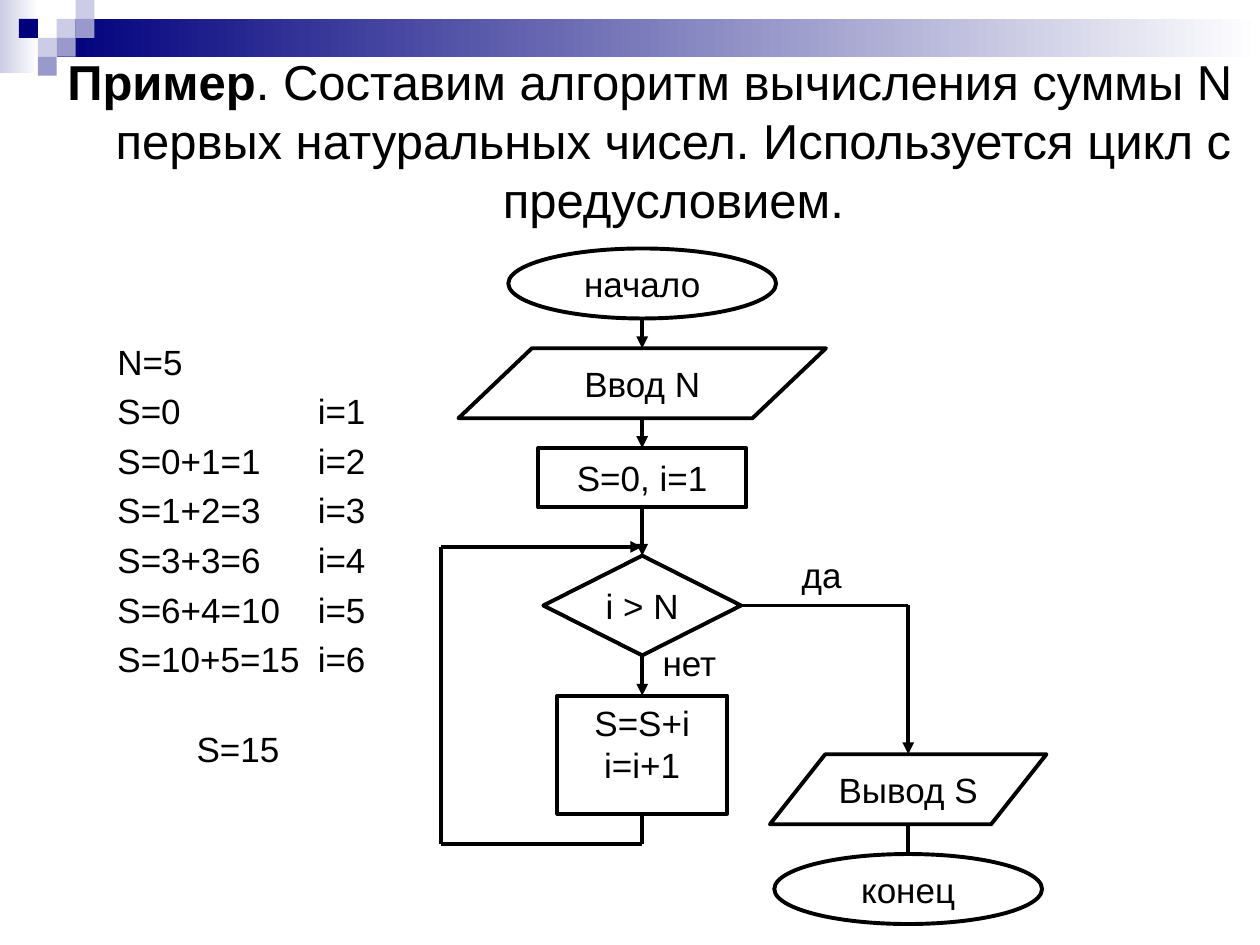
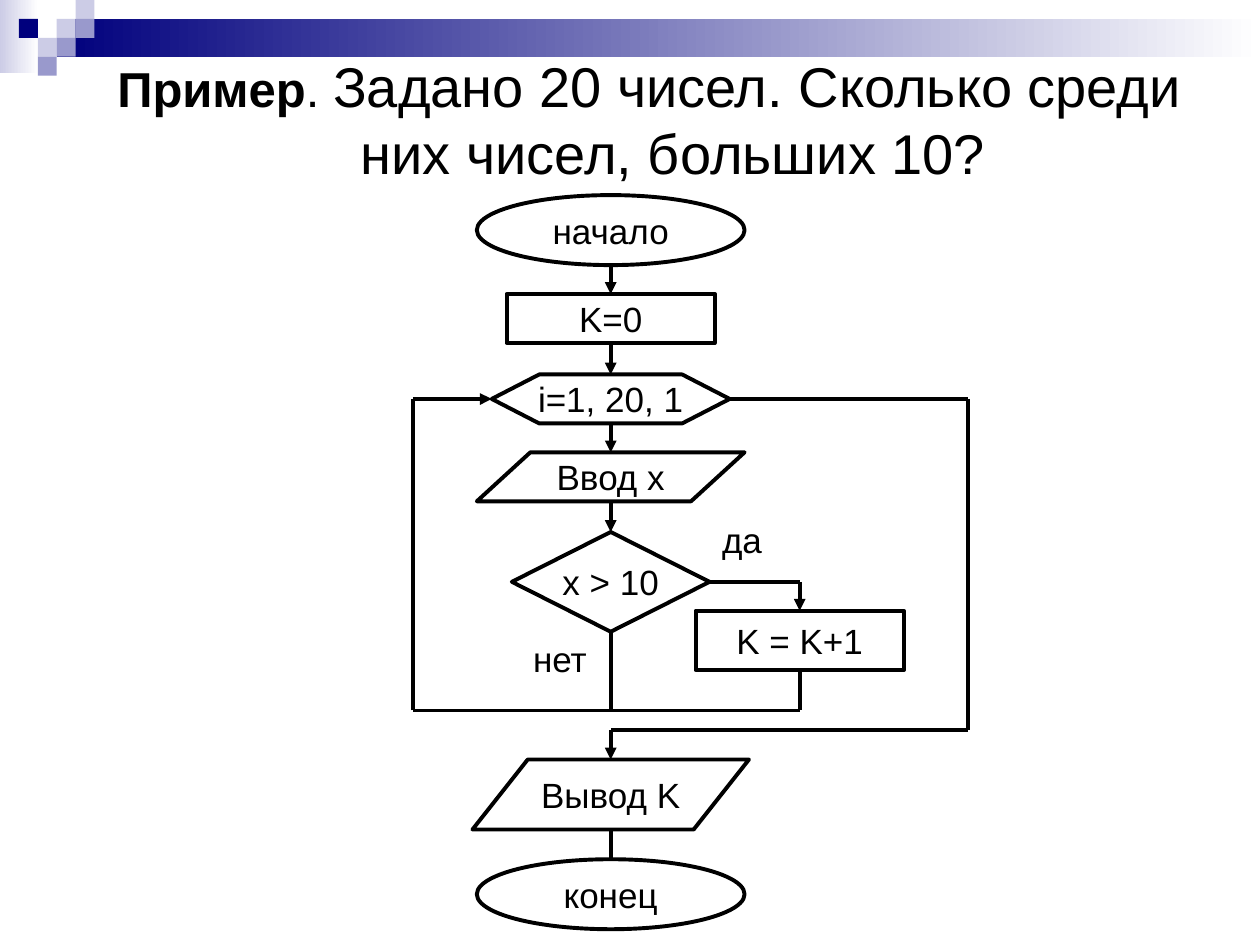
from dataclasses import dataclass

from lxml import etree
from pptx import Presentation
from pptx import util as u
from pptx.dml.color import RGBColor
from pptx.enum import shapes, text
from pptx.oxml.ns import qn

KIND = shapes.MSO_SHAPE
OVAL = KIND.OVAL
RECT = KIND.RECTANGLE
DATA = KIND.FLOWCHART_DATA
TEST = KIND.FLOWCHART_DECISION
LOOP = KIND.FLOWCHART_PREPARATION
TOP, LEFT, DOWN, RIGHT = range(4)
MID = text.PP_ALIGN.CENTER


@dataclass(frozen=True)
class Theme:
    """Hold the colours, font and sizes of the deck."""
    ink: str = "000000"
    paper: str = "FFFFFF"
    navy: str = "00007D"
    lilac: str = "9999CC"
    pale: str = "CCCCE6"
    font: str = "Arial"
    body: int = 20
    head: int = 28
    large: int = 32
    line: float = 2.25


THEME = Theme()


def tint(code):
    """Turn a hex code into a colour."""
    return RGBColor.from_string(code)


def style(item, form):
    """Set every format value of a dict on an item."""
    for name, value in form.items():
        setattr(item, name, value)


def box(left, top, wide, high):
    """Give the four lengths of a frame in points."""
    return [u.Pt(n) for n in (left, top, wide, high)]


def write(par, words, size=THEME.body, bold=False):
    """Add one run of text to a paragraph."""
    run = par.add_run()
    run.text = words
    style(run.font, {"name": THEME.font, "size": u.Pt(size), "bold": bold})
    run.font.color.rgb = tint(THEME.ink)


def tile(slide, frame, start, end=None):
    """Draw a plain block, or a fading one when an end colour is given."""
    block = slide.shapes.add_shape(RECT, *box(*frame))
    block.shadow.inherit = False
    block.line.fill.background()
    if end is None:
        block.fill.solid()
        block.fill.fore_color.rgb = tint(start)
        return
    block.fill.gradient()
    block.fill.gradient_angle = 0
    for stop, code in zip(block.fill.gradient_stops, (start, end)):
        stop.color.rgb = tint(code)


def band(slide):
    """Draw the fading band and its mosaic of squares."""
    side = 10.8
    tile(slide, (0, 0, 22, 42), THEME.pale, THEME.paper)
    tile(slide, (32.4, side, 687.6, 21.6), THEME.navy, THEME.paper)
    mosaic = [(3, 1, THEME.pale), (4, 0, THEME.pale), (4, 1, THEME.lilac),
              (2, 2, THEME.pale), (1, 1, THEME.navy), (3, 2, THEME.lilac),
              (2, 3, THEME.lilac)]
    for col, row, code in mosaic:
        tile(slide, (col * side, row * side, side, side), code)


def note(slide, frame, words="", align=None):
    """Add a text box and give its first paragraph."""
    area = slide.shapes.add_textbox(*box(*frame)).text_frame
    area.word_wrap = True
    par = area.paragraphs[0]
    par.alignment = align
    if words:
        write(par, words)
    return par


def title(slide, *runs):
    """Write the centred heading with a hanging indent."""
    par = note(slide, (31, 26, 680.5, 96.5), align=MID)
    par.space_before = u.Pt(5.6)
    props = par._p.get_or_add_pPr()
    props.set("marL", str(u.Pt(27)))
    props.set("indent", str(u.Pt(-27)))
    for words, size, bold in runs:
        write(par, words, size, bold)


def node(slide, kind, words, axis, top, wide, high,
         anchor=text.MSO_ANCHOR.MIDDLE):
    """Draw an outlined flowchart block centred on an axis."""
    block = slide.shapes.add_shape(kind, *box(axis - wide / 2, top, wide, high))
    block.shadow.inherit = False
    block.fill.background()
    block.line.color.rgb = tint(THEME.ink)
    block.line.width = u.Pt(THEME.line)
    style(block.text_frame, {"word_wrap": False, "vertical_anchor": anchor})
    for count, row in enumerate(words.split("\n")):
        area = block.text_frame
        par = area.add_paragraph() if count else area.paragraphs[0]
        par.alignment = MID
        write(par, row)
    return block


def port(block, side):
    """Give the middle of a side of a block in points."""
    across, along = ((1, 0), (0, 1), (1, 2), (2, 1))[side]
    return (block.left.pt + block.width.pt * across / 2,
            block.top.pt + block.height.pt * along / 2)


def place(stop):
    """Give the point of a stop, be it a point or a block's side."""
    return stop if isinstance(stop[0], (int, float)) else port(*stop)


def join(hook, stop):
    """Glue a line's end to a block that has four side points."""
    if not isinstance(stop[0], (int, float)):
        if stop[0].auto_shape_type in (RECT, TEST, LOOP):
            hook(*stop)


def route(slide, *stops, arrow=True):
    """Draw straight lines through the stops, with an arrow at the last."""
    for start, end in zip(stops, stops[1:]):
        ends = [u.Pt(n) for n in (*place(start), *place(end))]
        line = slide.shapes.add_connector(shapes.MSO_CONNECTOR.STRAIGHT, *ends)
        line.line.color.rgb = tint(THEME.ink)
        line.line.width = u.Pt(THEME.line)
        join(line.begin_connect, start)
        join(line.end_connect, end)
        if arrow and end is stops[-1]:
            etree.SubElement(line.line._get_or_add_ln(), qn("a:tailEnd"),
                             type="triangle")
        etree.SubElement(line._element.spPr, qn("a:effectLst"))


def chain(slide, *blocks, arrow=True):
    """Link blocks that stand below one another."""
    for upper, lower in zip(blocks, blocks[1:]):
        route(slide, (upper, DOWN), (lower, TOP), arrow=arrow)


def trace(slide, rows, top, pitch):
    """List the values of each step in two tabbed columns."""
    for count, row in enumerate(rows):
        par = note(slide, (60, top + count * pitch, 187, 31), row)
        tabs = etree.SubElement(par._p.get_or_add_pPr(), qn("a:tabLst"))
        etree.SubElement(tabs, qn("a:tab"), pos=str(u.Pt(114.5)), algn="l")


def total(slide):
    """Build the slide on the sum of the first N numbers."""
    band(slide)
    title(slide, ("Пример", THEME.head, True),
          (". Составим алгоритм вычисления суммы N первых натуральных чисел. "
           "Используется цикл с предусловием.", THEME.head, False))
    axis, exit_x, back_x = 367, 519, 252
    start = node(slide, OVAL, "начало", axis, 142, 153, 40)
    read = node(slide, DATA, "Ввод N", axis, 199, 210, 40)
    init = node(slide, RECT, "S=0, i=1", axis, 256, 119, 34)
    test = node(slide, TEST, "i > N", axis, 317.5, 113, 57)
    step = node(slide, RECT, "S=S+i\ni=i+1", axis, 397.5, 97, 67.5,
                text.MSO_ANCHOR.TOP)
    show = node(slide, DATA, "Вывод S", exit_x, 431, 158, 40)
    stop = node(slide, OVAL, "конец", exit_x, 488, 153, 40)
    chain(slide, start, read, init, test, step)
    chain(slide, show, stop, arrow=False)
    route(slide, (step, DOWN), (axis, 482.5), (back_x, 482.5),
          (back_x, 312.5), (axis, 312.5))
    route(slide, (test, RIGHT), (exit_x, port(test, RIGHT)[1]), (show, TOP))
    note(slide, (451, 312.5, 68, 31), "да")
    note(slide, (371.5, 363, 68, 31), "нет")
    trace(slide, ["N=5", "S=0\ti=1", "S=0+1=1\ti=2", "S=1+2=3\ti=3",
                  "S=3+3=6\ti=4", "S=6+4=10\ti=5", "S=10+5=15\ti=6"],
          191, 28.3)
    note(slide, (65, 412, 142, 31), "S=15", MID)


def tally(slide):
    """Build the slide on counting the numbers above ten."""
    band(slide)
    title(slide, ("Пример", THEME.head, True), (". ", THEME.head, False),
          ("Задано 20 чисел. Сколько среди них чисел, больших 10?",
           THEME.large, False))
    axis, yes_x, back_x, exit_x = 349, 457, 236, 553
    back_y, exit_y = 406, 417
    start = node(slide, OVAL, "начало", axis, 111.5, 153, 40)
    init = node(slide, RECT, "K=0", axis, 168, 119, 28)
    loop = node(slide, LOOP, "i=1, 20, 1", axis, 214, 136, 28)
    read = node(slide, DATA, "Ввод x", axis, 258.5, 153, 28)
    test = node(slide, TEST, "x > 10", axis, 304, 113, 57)
    step = node(slide, RECT, "K = K+1", yes_x, 349, 119, 34)
    show = node(slide, DATA, "Вывод K", axis, 434, 158, 40)
    stop = node(slide, OVAL, "конец", axis, 491, 153, 40)
    chain(slide, start, init, loop, read, test)
    chain(slide, show, stop, arrow=False)
    loop_y = port(loop, LEFT)[1]
    route(slide, (test, RIGHT), (yes_x, port(test, RIGHT)[1]), (step, TOP))
    route(slide, (test, DOWN), (axis, back_y), arrow=False)
    route(slide, (step, DOWN), (yes_x, back_y), (back_x, back_y),
          (back_x, loop_y), (loop, LEFT))
    route(slide, (loop, RIGHT), (exit_x, loop_y), (exit_x, exit_y),
          (axis, exit_y), (show, TOP))
    note(slide, (405.5, 292.5, 68, 31), "да")
    note(slide, (297.5, 361, 68, 31), "нет")


def main():
    """Build the deck and save it."""
    deck = Presentation()
    style(deck, {"slide_width": u.Pt(720), "slide_height": u.Pt(540)})
    for build in (total, tally):
        build(deck.slides.add_slide(deck.slide_layouts[6]))
    deck.save("out.pptx")


if __name__ == "__main__":
    main()
